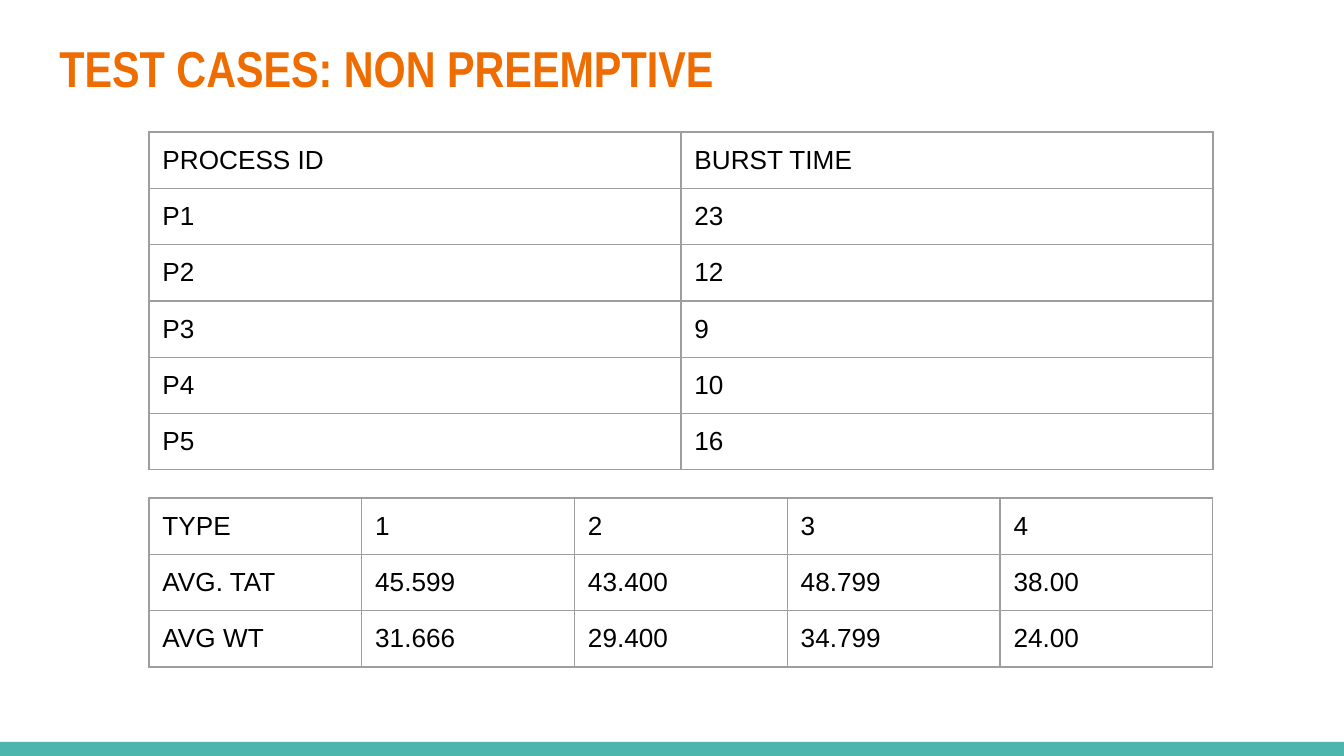
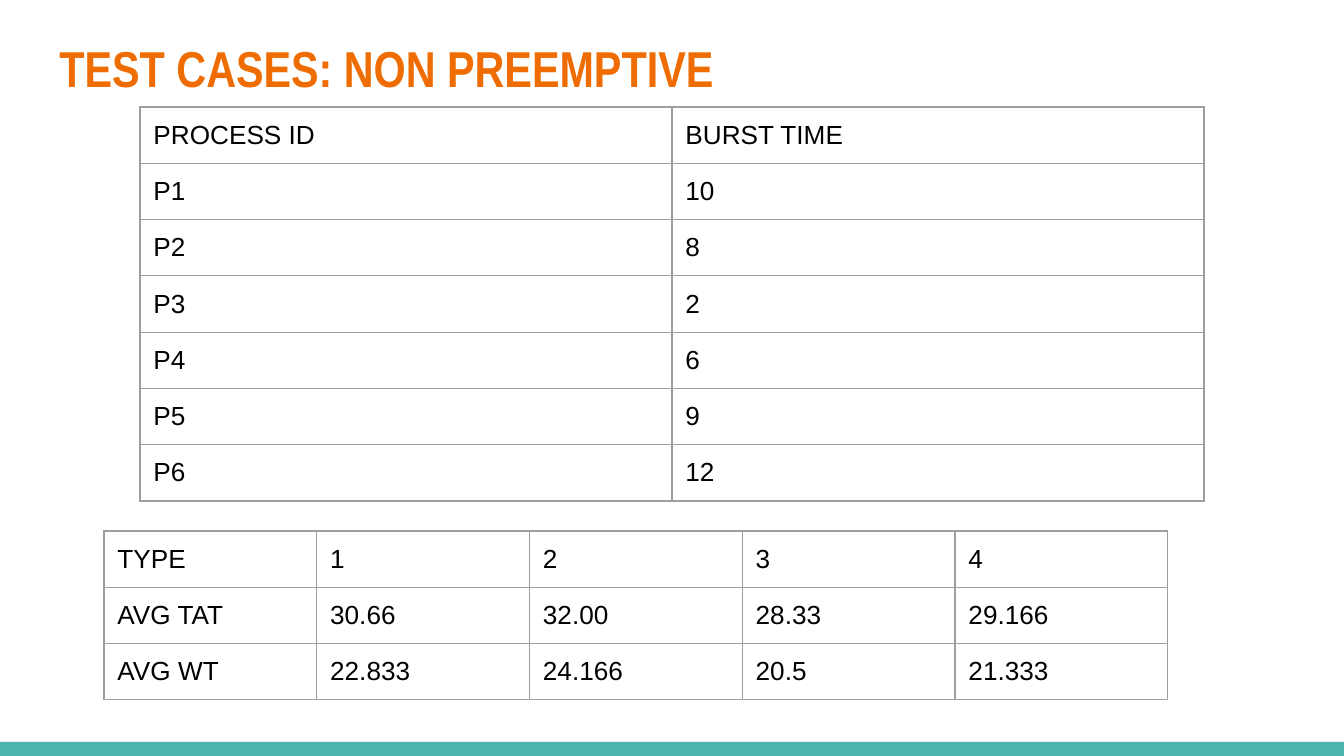
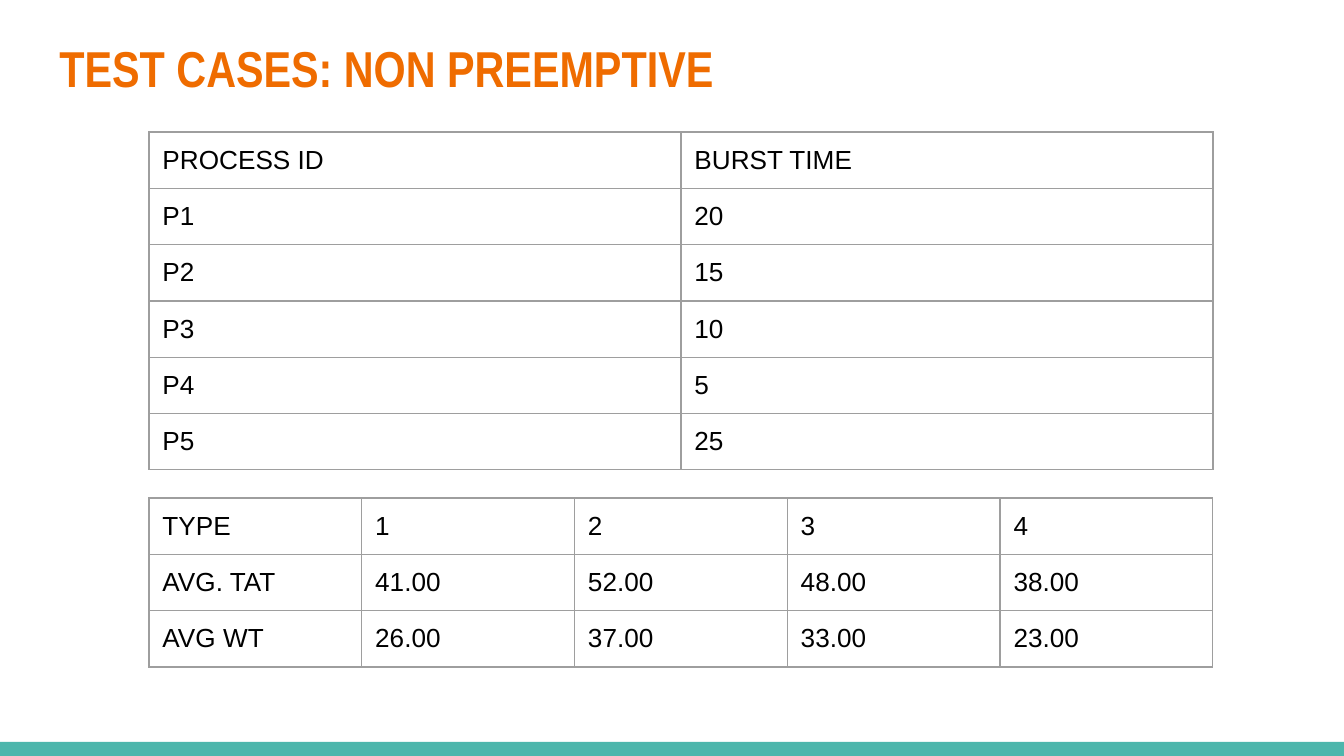
from lxml.etree import SubElement
from pptx import Presentation
from pptx.dml.color import RGBColor
from pptx.enum.shapes import MSO_SHAPE
from pptx.enum.text import MSO_ANCHOR, MSO_AUTO_SIZE, PP_ALIGN
from pptx.oxml.ns import qn
from pptx.util import Emu, Inches, Pt

SLIDE_WIDTH, SLIDE_HEIGHT = 1344, 756
SCALE = Inches(10) / SLIDE_WIDTH
BAND_HEIGHT = 14
TABLE_WIDTH, ROW_HEIGHT = 1064, 56

ORANGE = RGBColor(0xEF, 0x6C, 0x00)
TEAL = RGBColor(0x4D, 0xB6, 0xAC)
GRAY = RGBColor(0x9E, 0x9E, 0x9E)
BLACK = RGBColor(0x00, 0x00, 0x00)

TITLE_FONT = {"name": "Arial Narrow", "size": Pt(27), "bold": True}
CELL_FONT = {"name": "Arial", "size": Pt(14), "bold": False}
INSETS = {f"margin_{side}": Inches(0.1) for side in ("left", "top", "right", "bottom")}
TITLE_FRAME = {
    **INSETS,
    "word_wrap": True,
    "auto_size": MSO_AUTO_SIZE.NONE,
    "vertical_anchor": MSO_ANCHOR.TOP,
}

TITLE = "TEST CASES: NON PREEMPTIVE"
TYPES = ["TYPE", "1", "2", "3", "4"]

# Each test case: burst times, result rows, and the corners of both tables.
TEST_CASES = [
    (
        ["23", "12", "9", "10", "16"],
        [
            ["AVG. TAT", "45.599", "43.400", "48.799", "38.00"],
            ["AVG WT", "31.666", "29.400", "34.799", "24.00"],
        ],
        (149, 132),
        (149, 498),
    ),
    (
        ["10", "8", "2", "6", "9", "12"],
        [
            ["AVG TAT", "30.66", "32.00", "28.33", "29.166"],
            ["AVG WT", "22.833", "24.166", "20.5", "21.333"],
        ],
        (140, 107),
        (104, 531),
    ),
    (
        ["20", "15", "10", "5", "25"],
        [
            ["AVG. TAT", "41.00", "52.00", "48.00", "38.00"],
            ["AVG WT", "26.00", "37.00", "33.00", "23.00"],
        ],
        (149, 132),
        (149, 498),
    ),
]


def px(length):
    return Emu(round(length * SCALE))


def apply_format(target, values):
    for name, value in values.items():
        setattr(target, name, value)


class Deck:
    def __init__(self):
        self.presentation = Presentation()
        self.presentation.slide_width = px(SLIDE_WIDTH)
        self.presentation.slide_height = px(SLIDE_HEIGHT)
        self.slide = None

    def add_slide(self, title):
        layout = self.presentation.slide_layouts.get_by_name("Title Only")
        self.slide = self.presentation.slides.add_slide(layout)
        self.add_band()
        self.set_title(title)

    def add_band(self):
        band = self.slide.shapes.add_shape(
            MSO_SHAPE.RECTANGLE,
            0,
            px(SLIDE_HEIGHT - BAND_HEIGHT),
            px(SLIDE_WIDTH),
            px(BAND_HEIGHT),
        )
        band.shadow.inherit = False
        band.fill.solid()
        band.fill.fore_color.rgb = TEAL
        band.line.fill.background()

    def set_title(self, text):
        shape = self.slide.shapes.title
        box = {"left": 46, "top": 24, "width": 1253, "height": 65}
        apply_format(shape, {name: px(value) for name, value in box.items()})
        apply_format(shape.text_frame, TITLE_FRAME)
        self.add_text(shape.text_frame, text, TITLE_FONT, ORANGE)

    def add_text(self, text_frame, text, font, color):
        paragraph = text_frame.paragraphs[0]
        paragraph.alignment = PP_ALIGN.LEFT
        run = paragraph.add_run()
        run.text = text
        apply_format(run.font, font)
        run.font.color.rgb = color

    def add_table(self, corner, rows):
        left, top = corner
        frame = self.slide.shapes.add_table(
            len(rows),
            len(rows[0]),
            px(left),
            px(top),
            px(TABLE_WIDTH),
            px(ROW_HEIGHT * len(rows)),
        )
        table = frame.table
        apply_format(table, {"first_row": False, "horz_banding": False})
        for cell, text in zip(table.iter_cells(), sum(rows, [])):
            apply_format(cell, INSETS)
            self.add_text(cell.text_frame, text, CELL_FONT, BLACK)
            self.add_borders(cell)
            cell.fill.background()

    def add_borders(self, cell):
        properties = cell._tc.get_or_add_tcPr()
        for side in ("lnL", "lnR", "lnT", "lnB"):
            line = SubElement(properties, qn(f"a:{side}"), w=str(Pt(0.75)))
            fill = SubElement(line, qn("a:solidFill"))
            SubElement(fill, qn("a:srgbClr"), val=str(GRAY))


def main():
    deck = Deck()
    for burst_times, results, process_corner, result_corner in TEST_CASES:
        deck.add_slide(TITLE)
        processes = [[f"P{number}", time] for number, time in enumerate(burst_times, 1)]
        deck.add_table(process_corner, [["PROCESS ID", "BURST TIME"], *processes])
        deck.add_table(result_corner, [TYPES, *results])
    deck.presentation.save("out.pptx")


if __name__ == "__main__":
    main()
